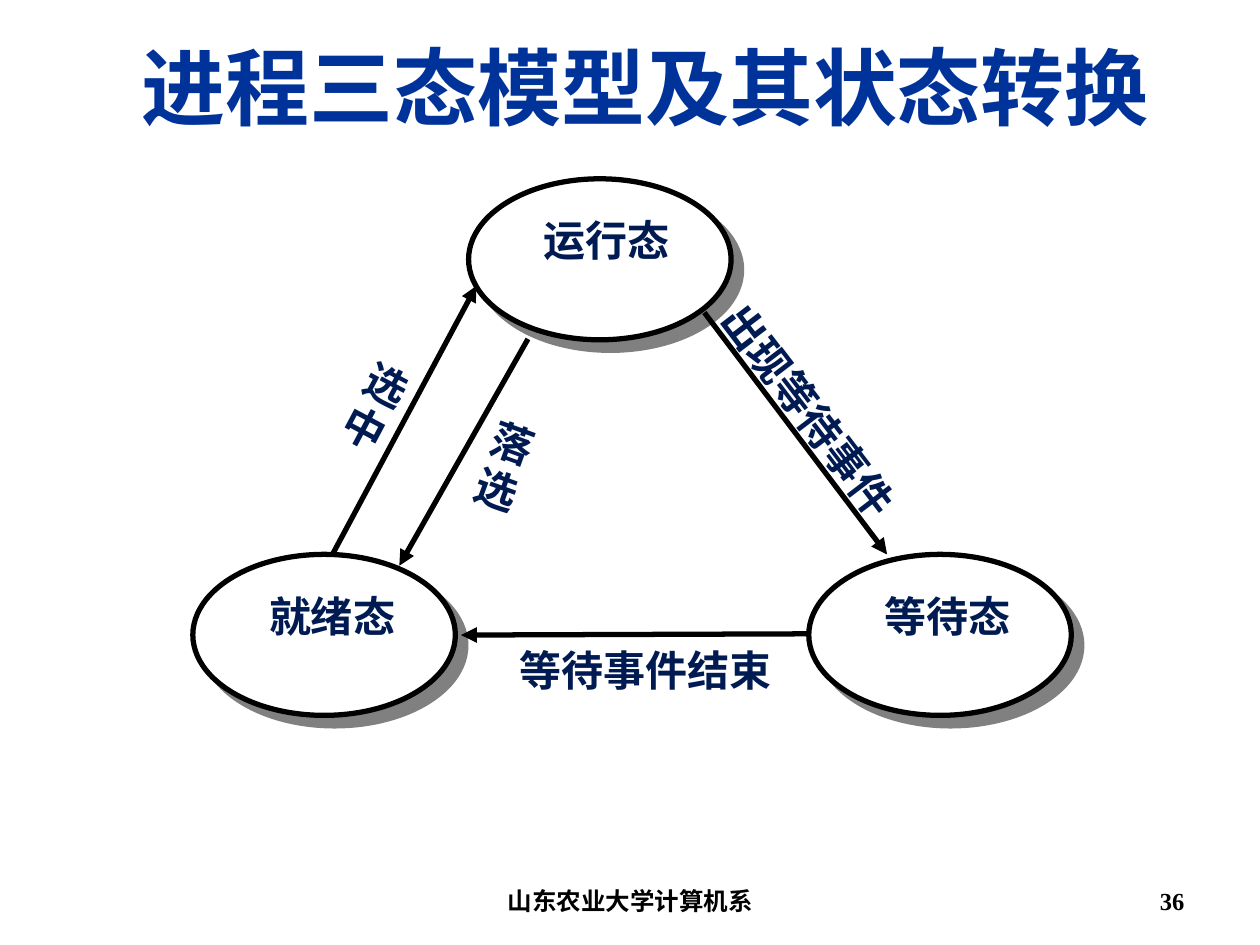
from dataclasses import dataclass

from lxml.etree import SubElement
from pptx import Presentation
from pptx.dml.color import RGBColor as RGB
from pptx.enum.shapes import MSO_CONNECTOR as CONN, MSO_SHAPE as SHAPE
from pptx.enum.text import MSO_ANCHOR as ANCHOR, MSO_AUTO_SIZE as FIT, PP_ALIGN as ALIGN
from pptx.oxml.ns import qn
from pptx.util import Pt


@dataclass(frozen=True)
class Theme:
    title: RGB = RGB(0x00, 0x33, 0x99)
    label: RGB = RGB(0x00, 0x1B, 0x52)
    ink: RGB = RGB(0, 0, 0)
    paper: RGB = RGB(255, 255, 255)
    shadow: str = "808080"
    title_size: int = 48
    label_size: int = 24
    footer_size: int = 14
    cjk: str = "Noto Sans CJK SC"
    serif: str = "Times New Roman"
    line: int = 3


@dataclass(frozen=True)
class State:
    name: str
    left: float
    top: float
    label_dx: float


@dataclass(frozen=True)
class Arrow:
    start: tuple[float, float]
    end: tuple[float, float]


@dataclass(frozen=True)
class Label:
    lines: tuple[str, ...]
    box: tuple[float, float, float, float]
    rotation: float = 0


@dataclass(frozen=True)
class Footer:
    text: str
    box: tuple[float, float, float, float]
    align: ALIGN


THEME = Theme()
OVAL_W, OVAL_H = 150, 92
NAME_W, NAME_H, NAME_DY = 90, 61, 15
LEADING = 1.15
CJK_DROP = 0.16  # top inset, in ems, that goes with the tight leading

STATES = (
    State("运行态", 267.8, 102.2, 33.7),
    State("就绪态", 110.2, 316.8, 34.5),
    State("等待态", 462.2, 316.8, 34),
)
ARROWS = (
    Arrow((190, 316.8), (272.2, 163.4)),
    Arrow((301.7, 193.7), (228.2, 323.3)),
    Arrow((402.5, 178.6), (506.9, 316.8)),
    Arrow((462.2, 362.2), (263.5, 362.9)),
)
LABELS = (
    Label(("选", "中"), (190.1, 198.7, 52.6, 61.2), 28),
    Label(("落", "选"), (263.5, 232.6, 52.6, 61.2), 19.9),
    Label(("出现等待事件",), (378.7, 213.8, 164.9, 43.2), 52.6),
    Label(("等待事件结束",), (286.6, 362.9, 164.9, 43.2)),
)
FOOTERS = (
    Footer("山东农业大学计算机系", (246.2, 500.4, 228.2, 28.8), ALIGN.CENTER),
    Footer("36", (516.2, 500.4, 167.8, 28.8), ALIGN.RIGHT),
)


def set_format(target, values: dict) -> None:
    for name, value in values.items():
        setattr(target, name, value)


def write(sp, lines, font: str, size: int, color: RGB, align=ALIGN.CENTER) -> None:
    """Fill a shape with bold paragraphs, one per line."""
    tf = sp.text_frame
    set_format(tf, {"word_wrap": True, "auto_size": FIT.NONE})
    for i, line in enumerate(lines):
        p = tf.paragraphs[0] if i == 0 else tf.add_paragraph()
        p.alignment = align
        r = p.add_run()
        r.text = line
        set_format(r.font, {"name": font, "size": Pt(size), "bold": True})
        r.font.color.rgb = color
        SubElement(r.font._element, qn("a:ea")).set("typeface", THEME.cjk)


def write_tight(sp, lines, size: int, color: RGB, inset: float = 0) -> None:
    """Write CJK lines from the top of the shape with tight leading."""
    write(sp, lines, THEME.cjk, size, color)
    set_format(sp.text_frame, {
        "margin_left": 0, "margin_right": 0, "margin_bottom": 0,
        "margin_top": Pt(inset + CJK_DROP * size), "vertical_anchor": ANCHOR.TOP,
    })
    for p in sp.text_frame.paragraphs:
        set_format(p, {"line_spacing": Pt(LEADING * size), "space_before": Pt(0)})


def add_white_shape(shapes, kind, left: float, top: float, width: float, height: float):
    sp = shapes.add_shape(kind, Pt(left), Pt(top), Pt(width), Pt(height))
    sp.shadow.inherit = False
    sp.fill.solid()
    sp.fill.fore_color.rgb = THEME.paper
    return sp


def draw_oval(shapes, state: State) -> None:
    sp = add_white_shape(shapes, SHAPE.OVAL, state.left, state.top, OVAL_W, OVAL_H)
    sp.line.color.rgb = THEME.ink
    sp.line.width = Pt(THEME.line)
    effects = sp._element.spPr.find(qn("a:effectLst"))
    shadow = SubElement(effects, qn("a:outerShdw"), blurRad="0", dist=str(Pt(8.5)),
                        dir=str(45 * 60000), algn="ctr", rotWithShape="0")
    SubElement(shadow, qn("a:srgbClr"), val=THEME.shadow)


def draw_arrow(shapes, arrow: Arrow) -> None:
    ends = [Pt(v) for v in arrow.start + arrow.end]
    cxn = shapes.add_connector(CONN.STRAIGHT, *ends)
    cxn.line.color.rgb = THEME.ink
    cxn.line.width = Pt(THEME.line)
    SubElement(cxn.line._get_or_add_ln(), qn("a:tailEnd"), type="triangle")
    SubElement(cxn._element.spPr, qn("a:effectLst"))


def draw_state_name(shapes, state: State) -> None:
    sp = add_white_shape(shapes, SHAPE.RECTANGLE, state.left + state.label_dx,
                         state.top + NAME_DY, NAME_W, NAME_H)
    sp.line.fill.background()
    write_tight(sp, [state.name], THEME.label_size, THEME.label, 2.9)


def draw_label(shapes, label: Label) -> None:
    sp = shapes.add_textbox(*map(Pt, label.box))
    sp.rotation = label.rotation
    write_tight(sp, label.lines, THEME.label_size, THEME.label, 2.9)


def draw_footer(shapes, footer: Footer) -> None:
    sp = shapes.add_textbox(*map(Pt, footer.box))
    write(sp, [footer.text], THEME.serif, THEME.footer_size, THEME.ink, footer.align)
    sp.text_frame.vertical_anchor = ANCHOR.MIDDLE


def main() -> None:
    prs = Presentation()
    set_format(prs, {"slide_width": Pt(720), "slide_height": Pt(540)})
    shapes = prs.slides.add_slide(prs.slide_layouts[5]).shapes

    title = shapes.title
    set_format(title, {"left": Pt(56.9), "top": Pt(15.1),
                       "width": Pt(623.5), "height": Pt(67.7)})
    write_tight(title, ["进程三态模型及其状态转换"], THEME.title_size, THEME.title)

    for draw, items in (
        (draw_footer, FOOTERS),
        (draw_oval, STATES),
        (draw_arrow, ARROWS),
        (draw_state_name, STATES),
        (draw_label, LABELS),
    ):
        for item in items:
            draw(shapes, item)
    prs.save("out.pptx")


if __name__ == "__main__":
    main()
